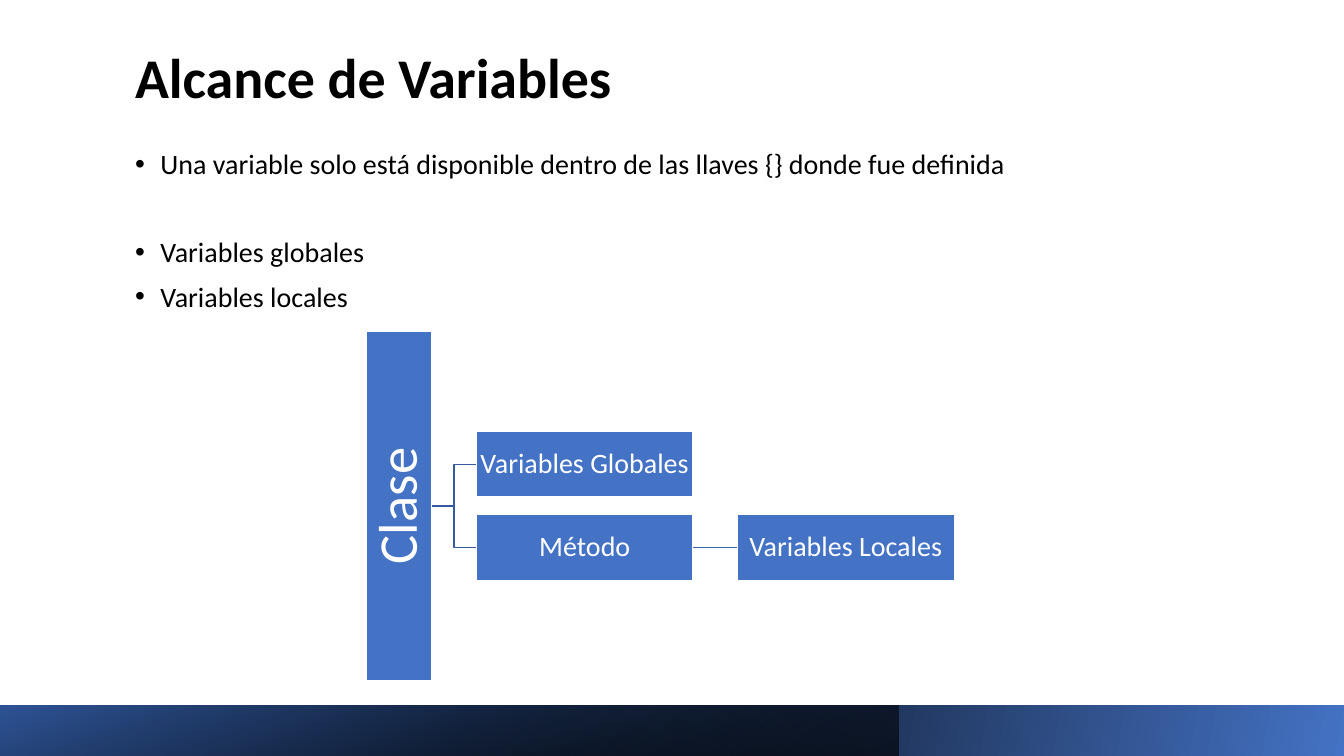
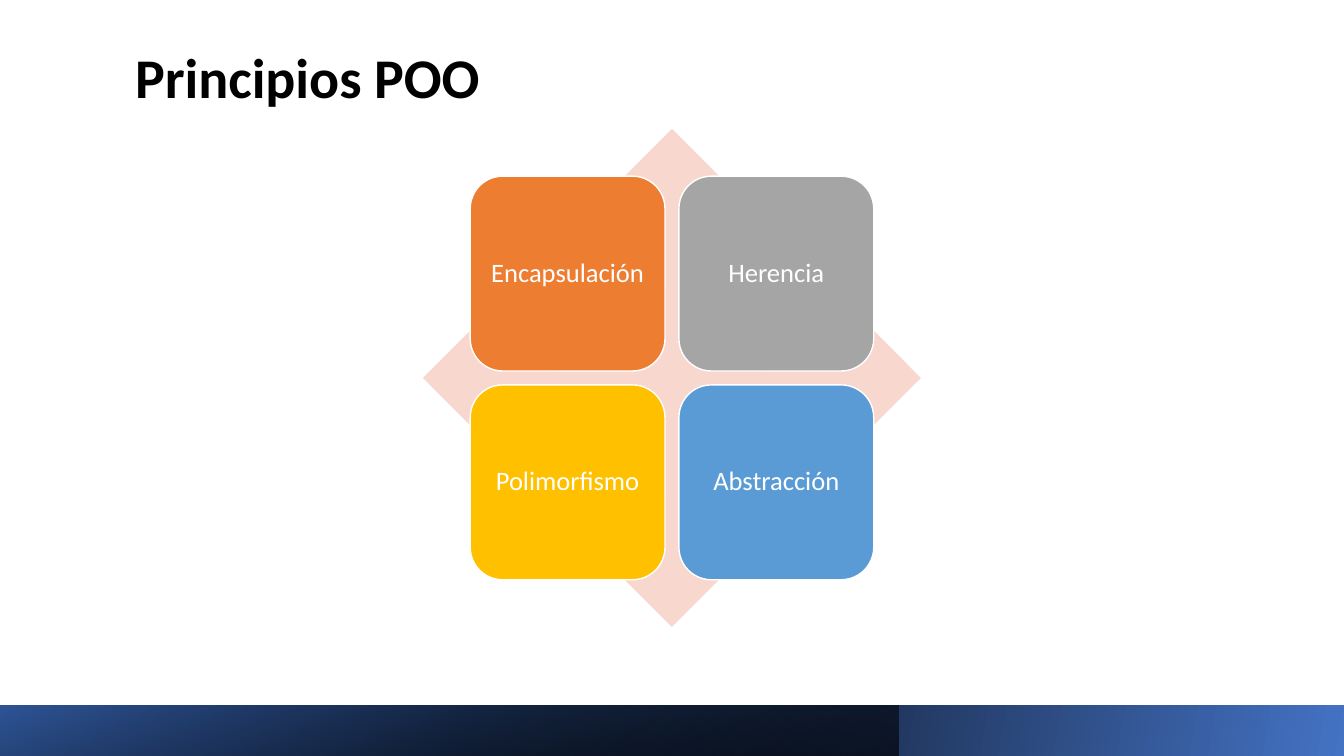
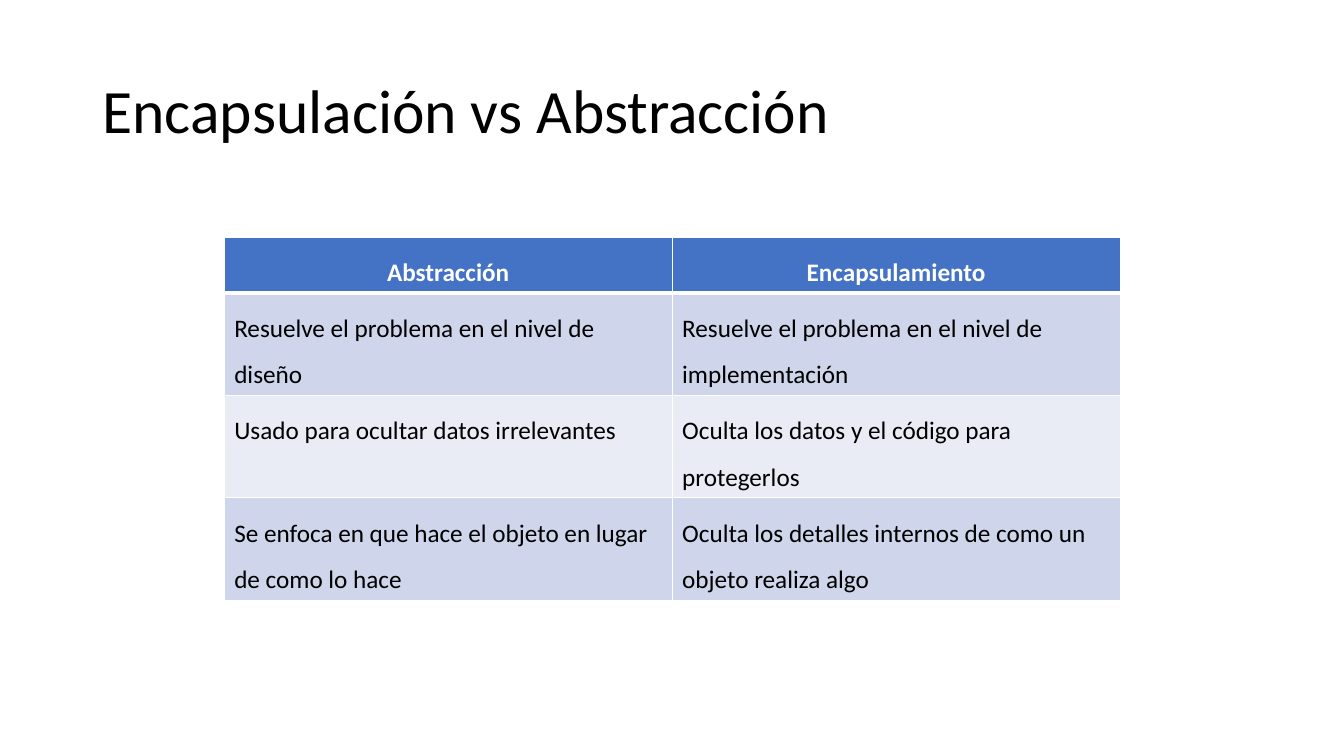
import dataclasses
import typing

import lxml.etree
import pptx
import pptx.dml.color
import pptx.enum.shapes
import pptx.enum.text
import pptx.oxml
import pptx.oxml.ns
import pptx.util

Cm = pptx.util.Cm
Pt = pptx.util.Pt
qn = pptx.oxml.ns.qn
SHAPE = pptx.enum.shapes.MSO_SHAPE
LINK = pptx.enum.shapes.MSO_CONNECTOR
ALIGN = pptx.enum.text.PP_ALIGN
ANCHOR = pptx.enum.text.MSO_ANCHOR

FONT = "Calibri"
WIDTH, HEIGHT = 33.87, 19.05
TITLE_AND_BODY, TITLE_ONLY = 1, 5
COLORS = {
    "black": "000000",
    "white": "FFFFFF",
    "blue": "4472C4",
    "navy": "2F5597",
    "elbow": "365B9D",
    "link": "3E67B2",
    "orange": "ED7D31",
    "gray": "A5A5A5",
    "gold": "FFC000",
    "sky": "5B9BD5",
    "blush": "F8D7CE",
    "band_dark": "CFD5EA",
    "band_light": "E9EBF5",
}


@dataclasses.dataclass
class Box:
    left: float
    top: float
    width: float
    height: float

    def place(self) -> tuple:
        return Cm(self.left), Cm(self.top), Cm(self.width), Cm(self.height)


@dataclasses.dataclass
class Node:
    text: str
    box: Box
    fill: str = "blue"
    kind: typing.Any = SHAPE.RECTANGLE
    size: float = 20
    inset: float = 0.03
    vertical: bool = False


@dataclasses.dataclass
class Stop:
    position: float
    color: str
    alpha: int = 100


@dataclasses.dataclass
class Band:
    box: Box
    angle: float
    stops: tuple


@dataclasses.dataclass
class TitleStyle:
    box: Box
    size: float
    bold: bool
    anchor: typing.Any


SECTION_TITLE = TitleStyle(Box(3.15, 0.61, 16.15, 2.31), 40, True, ANCHOR.BOTTOM)
PLAIN_TITLE = TitleStyle(Box(2.33, 1.01, 29.21, 3.68), 44, False, ANCHOR.MIDDLE)
FOOTER_TOP, FOOTER_HEIGHT = 17.77, 1.28
FOOTER = [
    Band(Box(0, FOOTER_TOP, WIDTH, FOOTER_HEIGHT), 170,
         (Stop(0, "blue"), Stop(0.66, "black"))),
    Band(Box(0, FOOTER_TOP, 22.65, FOOTER_HEIGHT), 110,
         (Stop(0, "black", 63), Stop(1, "navy"))),
]


def rgb(name: str) -> pptx.dml.color.RGBColor:
    return pptx.dml.color.RGBColor.from_string(COLORS[name])


def write(p, text: str, *, size: float = 20, color: str = "black", bold: bool = False,
          align=ALIGN.LEFT, spacing: float = 0.9, before: float = 0) -> None:
    p.alignment = align
    p.line_spacing = spacing
    p.space_before = Pt(before)
    r = p.add_run()
    r.text = text
    r.font.name = FONT
    r.font.size = Pt(size)
    r.font.bold = bold
    r.font.color.rgb = rgb(color)


def move(sp, box: Box) -> None:
    sp.left, sp.top, sp.width, sp.height = box.place()


def add_slide(prs, layout: int, title: str, style: TitleStyle):
    s = prs.slides.add_slide(prs.slide_layouts[layout])
    move(s.shapes.title, style.box)
    tf = s.shapes.title.text_frame
    tf.auto_size = pptx.enum.text.MSO_AUTO_SIZE.NONE
    tf.vertical_anchor = style.anchor
    write(tf.paragraphs[0], title, size=style.size, bold=style.bold)
    return s


def add_footer(s) -> None:
    for band in FOOTER:
        sp = s.shapes.add_shape(SHAPE.RECTANGLE, *band.box.place())
        sp.shadow.inherit = False
        sp.line.fill.background()
        sp.fill.gradient()
        sp.fill.gradient_angle = band.angle
        for target, stop in zip(sp.fill.gradient_stops, band.stops):
            target.position = stop.position
            target.color.rgb = rgb(stop.color)
        for clr, stop in zip(sp.element.spPr.iter(qn("a:srgbClr")), band.stops):
            if stop.alpha < 100:
                lxml.etree.SubElement(clr, qn("a:alpha"), val=str(stop.alpha * 1000))


def add_node(s, node: Node):
    sp = s.shapes.add_shape(node.kind, *node.box.place())
    sp.shadow.inherit = False
    sp.fill.solid()
    sp.fill.fore_color.rgb = rgb(node.fill)
    sp.line.color.rgb = rgb("white")
    sp.line.width = Pt(1)
    tf = sp.text_frame
    tf.word_wrap = True
    tf.vertical_anchor = ANCHOR.MIDDLE
    tf.margin_left = tf.margin_right = tf.margin_top = tf.margin_bottom = Cm(node.inset)
    if node.vertical:
        tf._txBody.bodyPr.set("vert", "vert270")
    write(tf.paragraphs[0], node.text, size=node.size, color="white", align=ALIGN.CENTER)
    return sp


def add_link(s, start, end, kind, color: str) -> None:
    c = s.shapes.add_connector(kind, 0, 0, 0, 0)
    c.begin_connect(start, 3)
    c.end_connect(end, 1)
    c.line.color.rgb = rgb(color)
    c.line.width = Pt(1)
    lxml.etree.SubElement(c.element.spPr, qn("a:effectLst"))


def add_bullets(s, box: Box, items: list) -> None:
    sp = s.placeholders[1]
    move(sp, box)
    tf = sp.text_frame
    tf.auto_size = pptx.enum.text.MSO_AUTO_SIZE.NONE
    for i, (text, before) in enumerate(items):
        p = tf.add_paragraph() if i else tf.paragraphs[0]
        write(p, text, before=before)
        pPr = p._p.get_or_add_pPr()
        pPr.set("marL", str(Cm(0.64)))
        pPr.set("indent", str(Cm(-0.64)))
        lxml.etree.SubElement(pPr, qn("a:buFont"), typeface="Arial")
        lxml.etree.SubElement(pPr, qn("a:buChar"), char="•")


def add_borders(cell, bottom: float) -> None:
    tcPr = cell._tc.get_or_add_tcPr()
    for side, width in (("L", 1), ("R", 1), ("T", 1), ("B", bottom)):
        ln = lxml.etree.SubElement(tcPr, qn(f"a:ln{side}"), w=str(Pt(width)))
        fill = lxml.etree.SubElement(ln, qn("a:solidFill"))
        lxml.etree.SubElement(fill, qn("a:srgbClr"), val=COLORS["white"])


def add_grid(s, box: Box, rows: list) -> None:
    table = s.shapes.add_table(len(rows), len(rows[0]), *box.place()).table
    for i, row in enumerate(rows):
        header = i == 0
        fill = "blue" if header else "band_dark" if i % 2 else "band_light"
        for j, text in enumerate(row):
            cell = table.cell(i, j)
            add_borders(cell, 3 if header else 1)
            cell.fill.solid()
            cell.fill.fore_color.rgb = rgb(fill)
            write(cell.text_frame.paragraphs[0], text, size=18, bold=header, spacing=1.5,
                  color="white" if header else "black",
                  align=ALIGN.CENTER if header else ALIGN.LEFT)


def build_scope(prs) -> None:
    s = add_slide(prs, TITLE_AND_BODY, "Alcance de Variables", SECTION_TITLE)
    add_footer(s)
    add_bullets(s, Box(3.15, 3.66, 26.95, 4.72), [
        ("Una variable solo está disponible dentro de las llaves {} donde fue definida", 10),
        ("Variables globales", 41.5),
        ("Variables locales", 10),
    ])
    width, height, col_gap, row_gap = 5.47, 1.66, 1.11, 0.44
    left, middle = 12, 12.75

    def member(text: str, col: int, row: int) -> Node:
        top = middle - height - row_gap / 2 + row * (height + row_gap)
        return Node(text, Box(left + col * (width + col_gap), top, width, height))

    root = add_node(s, Node("Clase", Box(left - col_gap - height, middle - 4.4, height, 8.8),
                            size=39, inset=0.08, vertical=True))
    fields = add_node(s, member("Variables Globales", 0, 0))
    method = add_node(s, member("Método", 0, 1))
    local = add_node(s, member("Variables Locales", 1, 1))
    for child in (fields, method):
        add_link(s, root, child, LINK.ELBOW, "elbow")
    add_link(s, method, local, LINK.STRAIGHT, "link")


def build_principles(prs) -> None:
    s = add_slide(prs, TITLE_ONLY, "Principios POO", SECTION_TITLE)
    add_footer(s)
    side, tile, gap = 12.55, 4.91, 0.35
    cx, cy = WIDTH / 2, HEIGHT / 2
    diamond = s.shapes.add_shape(
        SHAPE.DIAMOND, *Box(cx - side / 2, cy - side / 2, side, side).place())
    diamond.shadow.inherit = False
    diamond.fill.solid()
    diamond.fill.fore_color.rgb = rgb("blush")
    diamond.line.fill.background()
    principles = [("Encapsulación", "orange"), ("Herencia", "gray"),
                  ("Polimorfismo", "gold"), ("Abstracción", "sky")]
    for i, (text, fill) in enumerate(principles):
        row, col = divmod(i, 2)
        box = Box(cx - tile - gap / 2 + col * (tile + gap),
                  cy - tile - gap / 2 + row * (tile + gap), tile, tile)
        add_node(s, Node(text, box, fill, SHAPE.ROUNDED_RECTANGLE, 19, 0.2))


def build_comparison(prs) -> None:
    s = add_slide(prs, TITLE_ONLY, "Encapsulación vs Abstracción", PLAIN_TITLE)
    add_grid(s, Box(5.65, 5.97, 22.58, 4.16), [
        ("Abstracción", "Encapsulamiento"),
        ("Resuelve el problema en el nivel de diseño",
         "Resuelve el problema en el nivel de implementación"),
        ("Usado para ocultar datos irrelevantes",
         "Oculta los datos y el código para protegerlos"),
        ("Se enfoca en que hace el objeto en lugar de como lo hace",
         "Oculta los detalles internos de como un objeto realiza algo"),
    ])


def main() -> None:
    prs = pptx.Presentation()
    prs.slide_width, prs.slide_height = Cm(WIDTH), Cm(HEIGHT)
    build_scope(prs)
    build_principles(prs)
    build_comparison(prs)
    prs.save("out.pptx")


if __name__ == "__main__":
    main()
